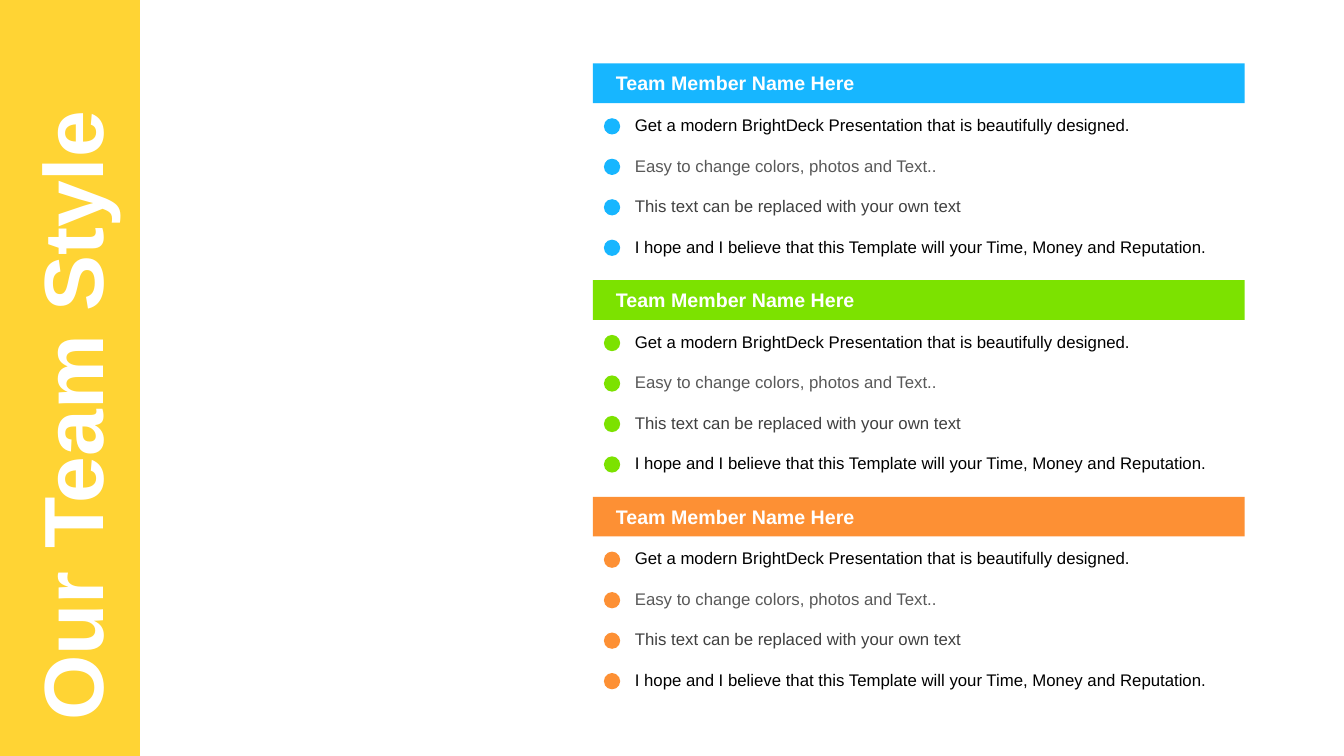
import pptx
import pptx.dml.color
import pptx.enum.shapes
import pptx.enum.text
import pptx.util

Cm = pptx.util.Cm
SHAPES = pptx.enum.shapes.MSO_SHAPE
ALIGN = pptx.enum.text.PP_ALIGN
ANCHOR = pptx.enum.text.MSO_ANCHOR
FIT = pptx.enum.text.MSO_AUTO_SIZE

COLOURS = {
    "band": "FFD434",
    "white": "FFFFFF",
    "black": "000000",
    "grey": "595959",
    "charcoal": "404040",
    "blue": "17B6FF",
    "green": "7CE200",
    "orange": "FD9034",
}
MEMBERS = [("Team Member Name Here", name) for name in ("blue", "green", "orange")]
POINTS = [
    ("Get a modern BrightDeck Presentation that is beautifully designed.", "black"),
    ("Easy to change colors, photos and Text..", "grey"),
    ("This text can be replaced with your own text", "charcoal"),
    ("I hope and I believe that this Template will your Time, Money and Reputation.", "black"),
]
TITLE_FONT = {"name": "Arial", "size": pptx.util.Pt(60), "bold": True}
NAME_FONT = {"name": "Arial", "size": pptx.util.Pt(14), "bold": True}
POINT_FONT = {"name": "Arial", "size": pptx.util.Pt(12), "bold": False}
CARD_PITCH = 5.46
POINT_PITCH = 1.02


def colour(name):
    """Return the named colour."""
    return pptx.dml.color.RGBColor.from_string(COLOURS[name])


def add_block(page, kind, box, fill):
    """Draw a flat shape without outline in a box given in centimetres."""
    block = page.shapes.add_shape(kind, *map(Cm, box))
    block.shadow.inherit = False
    block.fill.solid()
    block.fill.fore_color.rgb = colour(fill)
    block.line.fill.background()


def add_words(page, box, words, formats, tint, anchor=ANCHOR.TOP, align=ALIGN.LEFT):
    """Write one wrapped line of text and return its box."""
    label = page.shapes.add_textbox(*map(Cm, box))
    frame = label.text_frame
    frame.word_wrap = True
    frame.auto_size = FIT.NONE if anchor == ANCHOR.MIDDLE else FIT.SHAPE_TO_FIT_TEXT
    frame.vertical_anchor = anchor
    para = frame.paragraphs[0]
    para.alignment = align
    span = para.add_run()
    span.text = words
    for key, value in formats.items():
        setattr(span.font, key, value)
    span.font.color.rgb = colour(tint)
    return label


def add_title_band(page, left, top, width, height):
    """Draw the side band with the title turned to read upwards."""
    add_block(page, SHAPES.RECTANGLE, (left, top, width, height), "band")
    length, depth = 17.78, 2.82
    box = (left + (width - length) / 2, top + (height - depth) / 2, length, depth)
    title = add_words(page, box, "Our Team Style", TITLE_FONT, "white", align=ALIGN.JUSTIFY)
    title.rotation = 270


def add_member_card(page, left, top, width, member, accent):
    """Draw a name bar with its dotted list of points below."""
    add_block(page, SHAPES.RECTANGLE, (left, top, width, 1), accent)
    name_box = (left + 0.33, top + 0.1, 9.19, 0.79)
    add_words(page, name_box, member, NAME_FONT, "white", ANCHOR.MIDDLE)
    for row, (words, tint) in enumerate(POINTS):
        row_top = top + 1.17 + row * POINT_PITCH
        add_words(page, (left + 0.81, row_top, width - 0.48, 0.76), words, POINT_FONT, tint)
        add_block(page, SHAPES.OVAL, (left + 0.28, row_top + 0.21, 0.41, 0.41), accent)


def main():
    """Build and save the team page."""
    deck = pptx.Presentation()
    deck.slide_width, deck.slide_height = Cm(33.87), Cm(19.05)
    page = deck.slides.add_slide(deck.slide_layouts[6])
    add_title_band(page, 0, 0, 3.53, 19.05)
    for index, (member, accent) in enumerate(MEMBERS):
        add_member_card(page, 14.94, 1.6 + index * CARD_PITCH, 16.43, member, accent)
    deck.save("out.pptx")


if __name__ == "__main__":
    main()
